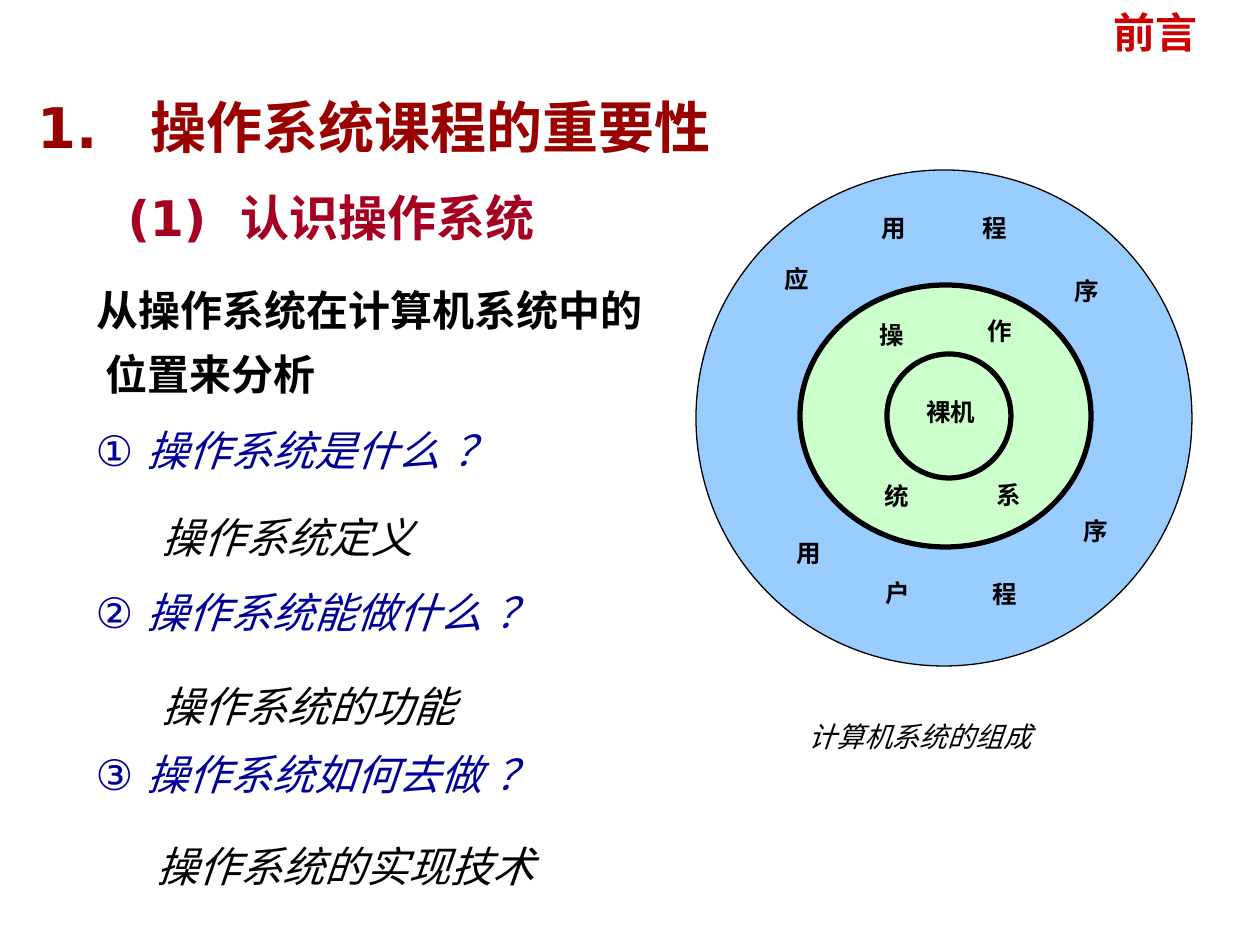
from pptx import Presentation
from pptx.dml.color import RGBColor
from pptx.enum.shapes import MSO_SHAPE as Shape
from pptx.enum.text import MSO_ANCHOR as Anchor, MSO_AUTO_SIZE as AutoSize, PP_ALIGN as Align
from pptx.oxml.ns import qn
from pptx.util import Pt
from lxml.etree import SubElement

PX = 7257.6
FONT = "DejaVu Sans"
BLACK, RED, MAROON, CRIMSON, NAVY = "000000", "CC0000", "990000", "A50021", "000099"

HEADER = ("前言", (53, 6, 1157, 58))
TITLE = ("1.\t操作系统课程的重要性", (25, 73, 791, 95))
BODY_BOX = (20, 169, 655, 650)
SECTION = "(1)\t认识操作系统"
LEAD = "从操作系统在计算机系统中的位置来分析"
QUESTIONS = ["① 操作系统是什么 ？", "② 操作系统能做什么 ？", "③ 操作系统如何去做 ？"]
ANSWERS = [
    ("操作系统定义", (86, 490, 438, 78)),
    ("操作系统的功能", (86, 659, 438, 78)),
    ("操作系统的实现技术", (81, 819, 520, 78)),
]
CAPTION = ("计算机系统的组成", (733, 703, 375, 57))
RINGS = [
    ((696, 170, 496, 496), "99CCFF", 0.75),
    ((800, 285, 291, 262), "CCFFCC", 3),
    ((887, 354, 124, 124), "CCFFCC", 3),
]
CORE = ("裸机", (914, 391, 88, 55))
RING_LABELS = [
    ("作", 975, 310), ("系", 984, 474), ("统", 872, 475), ("操", 867, 314),
    ("应", 772, 258), ("用", 869, 207), ("程", 970, 207), ("序", 1062, 270),
    ("用", 784, 532), ("户", 873, 572), ("程", 980, 573), ("序", 1071, 510),
]
LABEL_SIZE = 44

BOLD = {"bold": True, "italic": False}
ITALIC = {"bold": False, "italic": True}
HEADER_STYLE = dict(font=dict(size=24, **BOLD), color=RED,
                    para=dict(alignment=Align.RIGHT, line_spacing=0.9))
TITLE_STYLE = dict(font=dict(size=32, **BOLD), color=MAROON, indent=(113, -113),
                   para=dict(alignment=Align.LEFT, line_spacing=1.2, space_before=Pt(10)))
SECTION_STYLE = dict(font=dict(size=28, **BOLD), color=CRIMSON, indent=(208, -113),
                     para=dict(line_spacing=1.2, space_before=Pt(13.5)))
LEAD_STYLE = dict(font=dict(size=24, **BOLD), color=BLACK, indent=(73, -9),
                  para=dict(line_spacing=1.27, space_before=Pt(14.5)))
LABEL_STYLE = dict(font=dict(size=14, **BOLD), color=BLACK,
                   para=dict(alignment=Align.JUSTIFY))


def question_style(gap):
    return dict(font=dict(size=24, **ITALIC), color=NAVY, indent=(126, -63),
                para=dict(level=1, line_spacing=1.3, space_before=Pt(gap)))


def note_style(size):
    return dict(font=dict(size=size, **ITALIC), color=BLACK, indent=(126, -63),
                para=dict(level=1, line_spacing=1.3, space_before=Pt(size * 0.3)))


def emu(px):
    return round(px * PX)


def rgb(value):
    return RGBColor.from_string(value)


def place(part, box):
    part.left, part.top, part.width, part.height = map(emu, box)


def write(paragraph, words, style):
    for name, value in style["para"].items():
        setattr(paragraph, name, value)
    margin, indent = style.get("indent", (0, 0))
    props = paragraph._p.get_or_add_pPr()
    props.set("marL", str(emu(margin)))
    props.set("indent", str(emu(indent)))
    SubElement(props, qn("a:buNone"))
    run = paragraph.add_run()
    run.text = words
    for name, value in style["font"].items():
        setattr(run.font, name, Pt(value) if name == "size" else value)
    run.font.name = FONT
    run.font.color.rgb = rgb(style["color"])
    SubElement(run._r.get_or_add_rPr(), qn("a:ea")).set("typeface", FONT)


def fill_frame(part, box, lines):
    place(part, box)
    frame = part.text_frame
    for name, value in dict(word_wrap=True, auto_size=AutoSize.NONE,
                            vertical_anchor=Anchor.TOP).items():
        setattr(frame, name, value)
    for number, (words, style) in enumerate(lines):
        paragraph = frame.add_paragraph() if number else frame.paragraphs[0]
        write(paragraph, words, style)


def add_text(shapes, words, box, style):
    fill_frame(shapes.add_textbox(0, 0, 0, 0), box, [(words, style)])


def add_ring(shapes, box, color, width):
    ring = shapes.add_shape(Shape.OVAL, *map(emu, box))
    ring.shadow.inherit = False
    ring.fill.solid()
    ring.fill.fore_color.rgb = rgb(color)
    ring.line.color.rgb = rgb(BLACK)
    ring.line.width = Pt(width)


def main():
    deck = Presentation()
    deck.slide_width, deck.slide_height = emu(1260), emu(945)
    slide = deck.slides.add_slide(deck.slide_layouts[1])
    title, body = slide.placeholders

    fill_frame(title, TITLE[1], [(TITLE[0], TITLE_STYLE)])
    questions = [(words, question_style(55 if number else 6))
                 for number, words in enumerate(QUESTIONS)]
    fill_frame(body, BODY_BOX, [(SECTION, SECTION_STYLE), (LEAD, LEAD_STYLE)] + questions)
    for words, box in ANSWERS:
        add_text(slide.shapes, words, box, note_style(24))

    diagram = slide.shapes.add_group_shape().shapes
    for ring in RINGS:
        add_ring(diagram, *ring)
    add_text(diagram, *CORE, LABEL_STYLE)
    for words, left, top in RING_LABELS:
        add_text(diagram, words, (left, top, LABEL_SIZE, LABEL_SIZE), LABEL_STYLE)
    add_text(diagram, *CAPTION, note_style(16))

    add_text(slide.shapes, *HEADER, HEADER_STYLE)
    deck.save("out.pptx")


if __name__ == "__main__":
    main()
